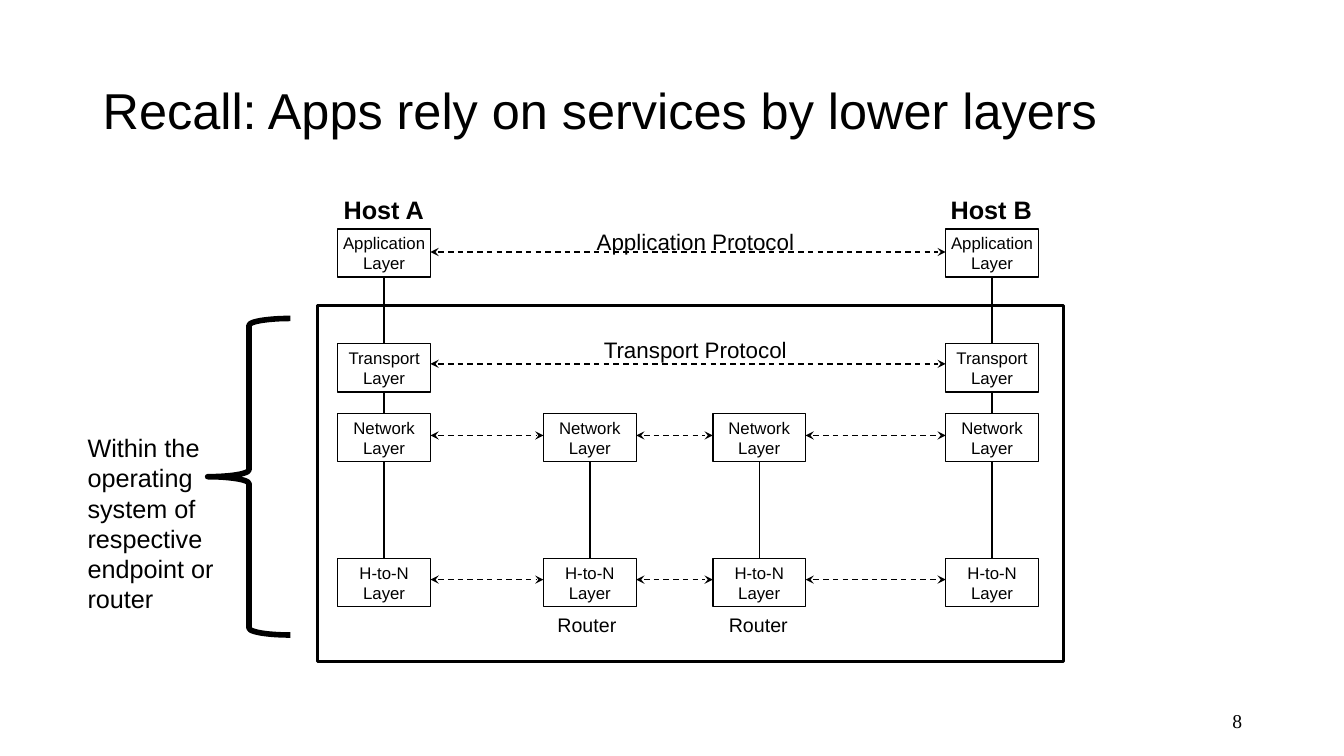
from itertools import pairwise

from lxml.etree import SubElement
from pptx import Presentation
from pptx.dml.color import RGBColor
from pptx.enum.dml import MSO_LINE
from pptx.enum.shapes import MSO_CONNECTOR, MSO_SHAPE
from pptx.enum.text import MSO_ANCHOR, PP_ALIGN
from pptx.oxml.ns import qn
from pptx.util import Inches, Pt

INK, PAPER = "000000", "FFFFFF"
SLIDE_SIZE = (13.33, 7.5)

TITLE = "Recall: Apps rely on services by lower layers"
SIDE_NOTE = "Within the operating system of respective endpoint or router"
PAGE_NUMBER = "8"

# Left edge of each machine's column of layers
COLUMNS = {"Host A": 3.35, "Router 1": 5.39, "Router 2": 7.07, "Host B": 9.38}
HOSTS = ["Host A", "Host B"]
ROUTERS = ["Router 1", "Router 2"]
# Layer, top of its row, height of its arrows, machines that have it
LAYERS = [
    ("Application", 2.27, 2.5, HOSTS),
    ("Transport", 3.41, 3.61, HOSTS),
    ("Network", 4.1, 4.32, list(COLUMNS)),
    ("H-to-N", 5.54, 5.75, list(COLUMNS)),
]
BOX_WIDTH, BOX_HEIGHT = 0.92, 0.48
SYSTEM_FRAME = (3.15, 3.03, 7.4, 3.53)
BRACE = (2.06, 3.16, 0.82, 3.14)

# Text, place, size, and formats that differ from the usual
LABELS = [
    (PAGE_NUMBER, (9.42, 6.95, 3, 0.4), 14,
     {"font": "Times New Roman", "align": PP_ALIGN.RIGHT, "anchor": MSO_ANCHOR.MIDDLE}),
    (TITLE, (0.92, 0.4, 11.5, 1.45), 36, {"anchor": MSO_ANCHOR.MIDDLE, "spacing": 0.9}),
    ("Application Protocol", (5.82, 2.21, 2.16, 0.37), 16, {"wrap": False}),
    ("Transport Protocol", (5.89, 3.29, 2.03, 0.37), 16, {"wrap": False}),
    ("Host A", (3.31, 1.88, 1.01, 0.4), 18, {"wrap": False, "bold": True}),
    ("Host B", (9.33, 1.88, 1.01, 0.4), 18, {"wrap": False, "bold": True}),
    ("Router", (5.43, 6.03, 0.79, 0.34), 14, {"wrap": False}),
    ("Router", (7.13, 6.03, 0.79, 0.34), 14, {"wrap": False}),
    (SIDE_NOTE, (0.77, 4.24, 1.8, 1.92), 18, {}),
]


def color(hex_string):
    return RGBColor.from_string(hex_string)


def write(shape, lines, size, font="Arial", bold=False, align=PP_ALIGN.LEFT,
          anchor=MSO_ANCHOR.TOP, spacing=None, wrap=True):
    frame = shape.text_frame
    frame.word_wrap, frame.vertical_anchor = wrap, anchor
    frame.text = "\n".join(lines)
    for paragraph in frame.paragraphs:
        paragraph.alignment, paragraph.line_spacing = align, spacing
        for name, value in {"name": font, "size": Pt(size), "bold": bold}.items():
            setattr(paragraph.font, name, value)
        paragraph.font.color.rgb = color(INK)


def add_outline(slide, preset, place, width, fill=None):
    shape = slide.shapes.add_shape(preset, *map(Inches, place))
    shape.shadow.inherit = False
    if fill:
        shape.fill.solid()
        shape.fill.fore_color.rgb = color(fill)
    else:
        shape.fill.background()
    shape.line.color.rgb = color(INK)
    shape.line.width = Pt(width)
    return shape


def add_line(slide, start, end, arrow=False):
    """Draw a solid line, or a dashed one with a stealth head at both ends."""
    line = slide.shapes.add_connector(MSO_CONNECTOR.STRAIGHT, *map(Inches, start + end))
    line.line.color.rgb = color(INK)
    line.line.width = Pt(1)
    properties = line._element.spPr
    if arrow:
        line.line.dash_style = MSO_LINE.DASH
        for tip in ("a:headEnd", "a:tailEnd"):
            SubElement(properties.find(qn("a:ln")), qn(tip), type="stealth")
    SubElement(properties, qn("a:effectLst"))


def add_stacks(slide):
    for machine, left in COLUMNS.items():
        tops = [top for _, top, _, machines in LAYERS if machine in machines]
        center = left + BOX_WIDTH / 2
        add_line(slide, (center, tops[0] + BOX_HEIGHT), (center, tops[-1]))
    for layer, top, arrow_y, machines in LAYERS:
        for machine in machines:
            place = (COLUMNS[machine], top, BOX_WIDTH, BOX_HEIGHT)
            box = add_outline(slide, MSO_SHAPE.RECTANGLE, place, 1, PAPER)
            write(box, [layer, "Layer"], 12, align=PP_ALIGN.CENTER,
                  anchor=MSO_ANCHOR.MIDDLE, wrap=False)
        for near, far in pairwise(machines):
            add_line(slide, (COLUMNS[near] + BOX_WIDTH, arrow_y),
                     (COLUMNS[far], arrow_y), arrow=True)


def main():
    deck = Presentation()
    deck.slide_width, deck.slide_height = map(Inches, SLIDE_SIZE)
    slide = deck.slides.add_slide(deck.slide_layouts[6])
    add_stacks(slide)
    for text, place, size, formats in LABELS:
        write(slide.shapes.add_textbox(*map(Inches, place)), [text], size, **formats)
    add_outline(slide, MSO_SHAPE.RECTANGLE, SYSTEM_FRAME, 2)
    add_outline(slide, MSO_SHAPE.LEFT_BRACE, BRACE, 4)
    deck.save("out.pptx")


if __name__ == "__main__":
    main()
